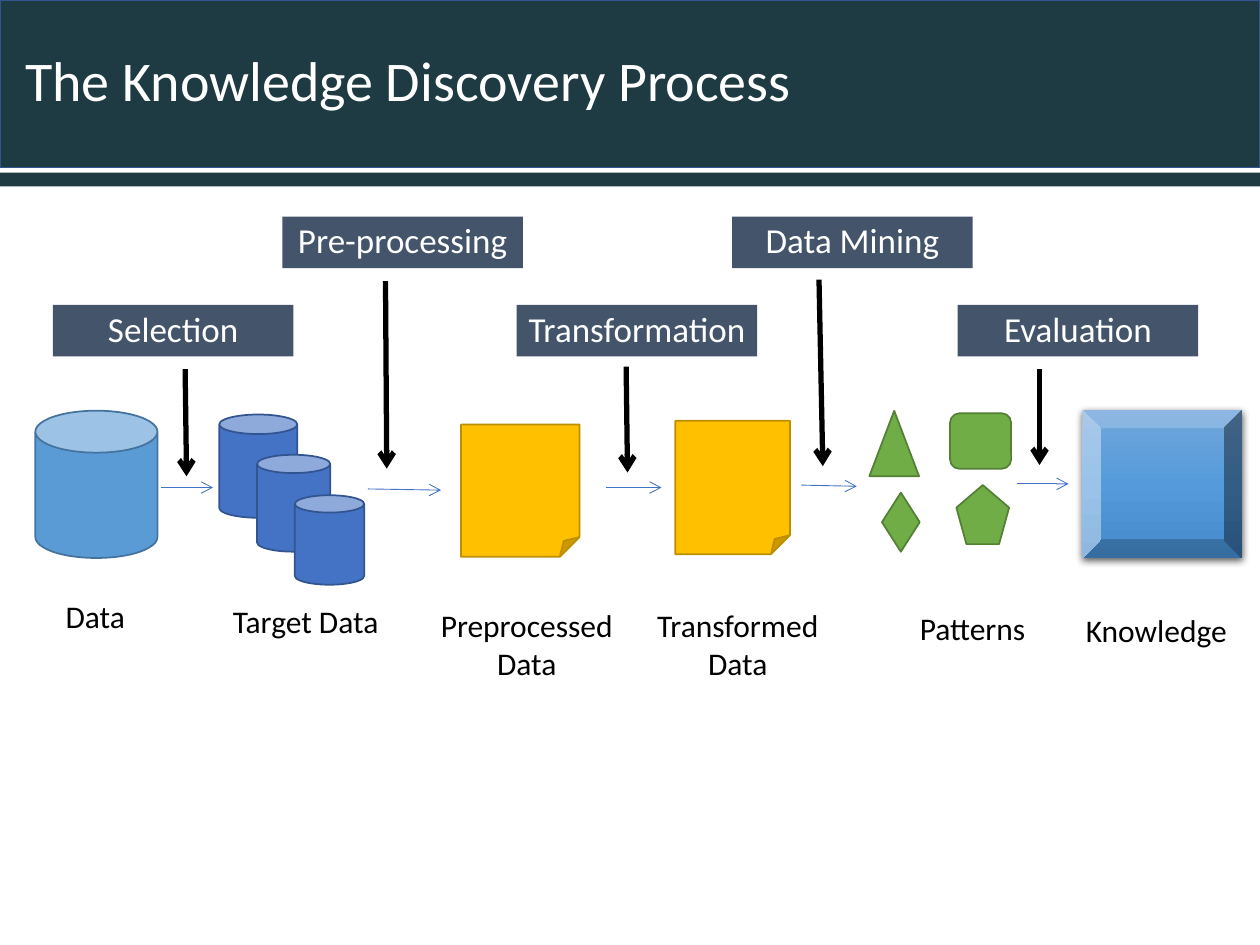
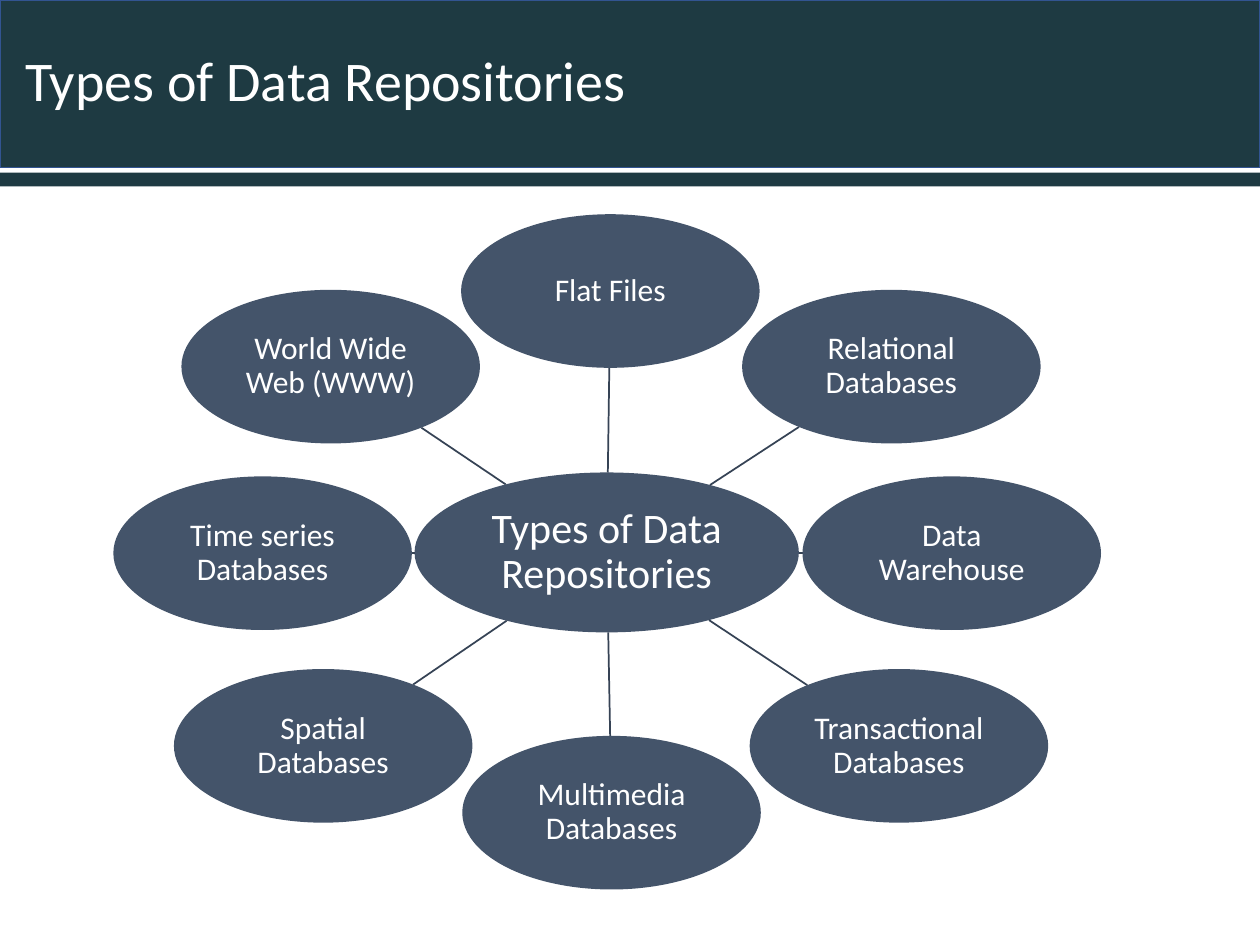
"""Build two slides on the knowledge discovery process and data repositories."""
from copy import deepcopy
from dataclasses import dataclass
from math import hypot
from typing import Any, NamedTuple, Optional

from pptx import Presentation
from pptx import util as u
from pptx.dml import color
from pptx.enum import shapes, text
from pptx.oxml import ns, parse_xml

Pt = u.Pt
Kind = shapes.MSO_SHAPE
COLORS = {
    "band": "1E3A42", "band_edge": "325491", "slate": "44546A", "spoke": "364355",
    "sky": "5B9BD5", "sky_edge": "43739E", "blue": "4472C4", "blue_edge": "325491",
    "gold": "FFC000", "gold_edge": "BD8E00", "green": "70AD47", "green_edge": "538035",
    "bevel_top": "71A6DB", "bevel_middle": "559BDB", "bevel_bottom": "448ACA",
    "white": "FFFFFF", "black": "000000",
}
CENTER, LEFT = text.PP_ALIGN.CENTER, text.PP_ALIGN.LEFT


class Area(NamedTuple):
    left: float
    top: float
    width: float
    height: float

    @property
    def center(self) -> tuple[float, float]:
        return self.left + self.width / 2, self.top + self.height / 2


@dataclass
class Figure:
    kind: Any
    area: Area
    fill: str
    edge: Optional[str] = None
    adjustment: Optional[float] = None


@dataclass
class Caption:
    words: str
    area: Area
    align: Any = CENTER


@dataclass
class Stage:
    name: str
    left: float
    arrow: tuple[float, float, float, float]


@dataclass
class Stroke:
    color: str
    width: float
    arrow: bool = False


FLOW = Stroke("blue", 0.5, True)
POINTER = Stroke("black", 3, True)
SPOKE = Stroke("spoke", 1)

BANDS = [
    Figure(Kind.RECTANGLE, Area(0, 0, 720, 95.8), "band", "band_edge"),
    Figure(Kind.RECTANGLE, Area(0, 98.6, 720, 7.9), "band"),
]
TITLE_AREA = Area(7.2, 0, 712.8, 95.8)

FIGURES = [
    Figure(Kind.CAN, Area(20.2, 234.7, 69.8, 84.2), "sky", "sky_edge", 0.344),
    Figure(Kind.CAN, Area(125.3, 236.9, 44.6, 59), "blue", "blue_edge"),
    Figure(Kind.CAN, Area(146.9, 259.9, 41.8, 55.4), "blue", "blue_edge"),
    Figure(Kind.CAN, Area(168.5, 283, 39.6, 51.1), "blue", "blue_edge"),
    Figure(Kind.FOLDED_CORNER, Area(263.5, 242.6, 67.7, 75.6), "gold", "gold_edge"),
    Figure(Kind.FOLDED_CORNER, Area(385.9, 240.5, 65.5, 76.3), "gold", "gold_edge"),
    Figure(Kind.ISOSCELES_TRIANGLE, Area(496.8, 234.7, 28.4, 37.4), "green", "green_edge"),
    Figure(Kind.ROUNDED_RECTANGLE, Area(542.9, 236.2, 34.9, 31.7), "green", "green_edge"),
    Figure(Kind.DIAMOND, Area(504, 281.5, 21.6, 33.8), "green", "green_edge"),
    Figure(Kind.REGULAR_PENTAGON, Area(546.5, 277.2, 30.2, 33.8), "green", "green_edge"),
]
KNOWLEDGE = Figure(Kind.BEVEL, Area(618.5, 234, 91.4, 85), "bevel_middle")
CAPTIONS = [
    Caption("Data", Area(20.2, 337.7, 68.4, 28.8)),
    Caption("Target Data", Area(117.4, 340.6, 114.5, 28.8)),
    Caption("Preprocessed Data", Area(239.8, 342.7, 122.4, 51.1)),
    Caption("Transformed Data", Area(364.3, 342.7, 114.5, 51.1)),
    Caption("Patterns", Area(501.8, 344.2, 108, 28.8)),
    Caption("Knowledge", Area(613.4, 345.6, 114.5, 28.8), LEFT),
]
FLOWS = [
    (92.2, 278.6, 121.7, 278.6), (210.2, 279.4, 252, 280.1), (346.3, 278.6, 378, 278.6),
    (457.9, 277.2, 489.6, 277.9), (581, 276.5, 610.6, 276.5),
]
STAGE_TOPS = (174.2, 123.8)
STAGES = [
    Stage("Selection", 30.2, (105.8, 211, 106.6, 272.2)),
    Stage("Pre-processing", 161.3, (220.3, 160.6, 221, 267.8)),
    Stage("Transformation", 295.2, (357.8, 209.5, 358.6, 270)),
    Stage("Data Mining", 418.3, (468, 159.8, 470.2, 266.4)),
    Stage("Evaluation", 547.2, (594, 211, 594, 265.7)),
]

HUB = Area(236.9, 270, 219.6, 91.4)
REPOSITORIES = {
    "Flat Files": (263.5, 122.4),
    "Relational Databases": (424.1, 165.6),
    "Data Warehouse": (458.6, 272.2),
    "Transactional Databases": (428.4, 382.3),
    "Multimedia Databases": (264.2, 420.5),
    "Spatial Databases": (99.4, 382.3),
    "Time series Databases": (64.8, 272.2),
    "World Wide Web (WWW)": (103.7, 165.6),
}


def rgb(name: str) -> color.RGBColor:
    """Look up a named colour."""
    return color.RGBColor.from_string(COLORS[name])


def apply(target: Any, formats: dict[str, Any]) -> None:
    """Set each format value on the target."""
    for name, value in formats.items():
        setattr(target, name, value)


def points(lengths: tuple) -> list[u.Length]:
    """Turn plain numbers into lengths in points."""
    return [Pt(length) for length in lengths]


def write(frame: Any, words: str, size: float, ink: str, align: Any = CENTER,
          spacing: float = 0.9, inset: Optional[float] = None) -> None:
    """Put one formatted paragraph into a text frame."""
    frame.word_wrap = True
    if inset is not None:
        sides = ("left", "right", "top", "bottom")
        apply(frame, {f"margin_{side}": Pt(inset) for side in sides})
    para = frame.paragraphs[0]
    apply(para, {"alignment": align, "line_spacing": spacing})
    span = para.add_run()
    span.text = words
    apply(span.font, {"name": "Calibri", "size": Pt(size)})
    span.font.color.rgb = rgb(ink)


def draw_figure(page: Any, figure: Figure) -> Any:
    """Draw a flat preset shape."""
    shape = page.shapes.add_shape(figure.kind, *points(figure.area))
    shape.shadow.inherit = False
    shape.fill.solid()
    shape.fill.fore_color.rgb = rgb(figure.fill)
    if figure.edge:
        shape.line.color.rgb = rgb(figure.edge)
        shape.line.width = Pt(1)
    else:
        shape.line.fill.background()
    if figure.adjustment is not None:
        shape.adjustments[0] = figure.adjustment
    return shape


def draw_line(page: Any, ends: tuple, stroke: Stroke) -> None:
    """Draw a straight connector, with an arrowhead when asked."""
    line = page.shapes.add_connector(shapes.MSO_CONNECTOR.STRAIGHT, *points(ends))
    line.line.color.rgb = rgb(stroke.color)
    line.line.width = Pt(stroke.width)
    if stroke.arrow:
        head = parse_xml(f'<a:tailEnd {ns.nsdecls("a")} type="arrow"/>')
        line.get_or_add_ln().append(head)
    line.element.spPr.append(parse_xml(f'<a:effectLst {ns.nsdecls("a")}/>'))


def draw_knowledge(page: Any) -> None:
    """Draw the bevelled block with its gradient and soft shadow."""
    block = draw_figure(page, KNOWLEDGE)
    block.fill.gradient()
    block.fill.gradient_angle = 270
    properties = block.element.spPr
    stop_list = properties.find(".//" + ns.qn("a:gsLst"))
    stop_list.append(deepcopy(stop_list[-1]))
    names = ("bevel_top", "bevel_middle", "bevel_bottom")
    for index, (stop, name) in enumerate(zip(block.fill.gradient_stops, names)):
        stop.position = index / 2
        stop.color.rgb = rgb(name)
    properties.find(ns.qn("a:effectLst")).append(parse_xml(
        f'<a:outerShdw {ns.nsdecls("a")} blurRad="{Pt(4.5)}" dist="{Pt(1.5)}" '
        f'dir="5400000" rotWithShape="0"><a:srgbClr val="{COLORS["black"]}">'
        '<a:alpha val="63000"/></a:srgbClr></a:outerShdw>'))


def draw_caption(page: Any, caption: Caption) -> None:
    """Draw a caption below a figure."""
    box = page.shapes.add_textbox(*points(caption.area))
    write(box.text_frame, caption.words, 18, "black", caption.align, 1.0)
    box.text_frame.auto_size = text.MSO_AUTO_SIZE.SHAPE_TO_FIT_TEXT


def rim_point(oval: Area, toward: Area) -> tuple[float, float]:
    """Find where the line to another centre leaves an oval."""
    (x, y), (far_x, far_y) = oval.center, toward.center
    run, rise = far_x - x, far_y - y
    share = 1 / hypot(run / (oval.width / 2), rise / (oval.height / 2))
    return x + run * share, y + rise * share


def draw_oval(page: Any, words: str, area: Area, size: float, inset: float) -> None:
    """Draw a labelled oval."""
    oval = draw_figure(page, Figure(Kind.OVAL, area, "slate"))
    write(oval.text_frame, words, size, "white", inset=inset)


def prepare_layout(deck: Any) -> Any:
    """Give the title-only layout its title position."""
    layout = deck.slide_layouts[5]
    apply(layout.placeholders[0], dict(zip(Area._fields, points(TITLE_AREA))))
    return layout


def add_bands(layout: Any, page: Any) -> None:
    """Draw the header bands and move them behind the layout's placeholders."""
    for index, band in enumerate(BANDS, 2):
        layout.shapes.element.insert(index, draw_figure(page, band).element)


def add_page(deck: Any, layout: Any, title: str) -> Any:
    """Add a titled slide."""
    page = deck.slides.add_slide(layout)
    frame = page.shapes.title.text_frame
    write(frame, title, 32, "white", LEFT)
    frame.vertical_anchor = text.MSO_ANCHOR.MIDDLE
    return page


def build_process(page: Any) -> None:
    """Draw the discovery steps from data to knowledge."""
    for figure in FIGURES:
        draw_figure(page, figure)
    draw_knowledge(page)
    for caption in CAPTIONS:
        draw_caption(page, caption)
    for flow in FLOWS:
        draw_line(page, flow, FLOW)
    for index, stage in enumerate(STAGES):
        area = Area(stage.left, STAGE_TOPS[index % 2], 137.5, 29.5)
        box = draw_figure(page, Figure(Kind.RECTANGLE, area, "slate"))
        write(box.text_frame, stage.name, 20, "white", inset=5.6)
        draw_line(page, stage.arrow, POINTER)


def build_repositories(page: Any) -> None:
    """Draw the hub and the repository types around it."""
    draw_oval(page, "Types of Data Repositories", HUB, 24, 1.2)
    for name, corner in REPOSITORIES.items():
        area = Area(*corner, 170.6, 87.8)
        draw_line(page, rim_point(HUB, area) + rim_point(area, HUB), SPOKE)
        draw_oval(page, name, area, 18, 0.9)


def main() -> None:
    """Build and save the deck."""
    deck = Presentation()
    apply(deck, {"slide_width": Pt(720), "slide_height": Pt(540)})
    layout = prepare_layout(deck)
    process = add_page(deck, layout, "The Knowledge Discovery Process")
    add_bands(layout, process)
    build_process(process)
    build_repositories(add_page(deck, layout, "Types of Data Repositories"))
    deck.save("out.pptx")


if __name__ == "__main__":
    main()
